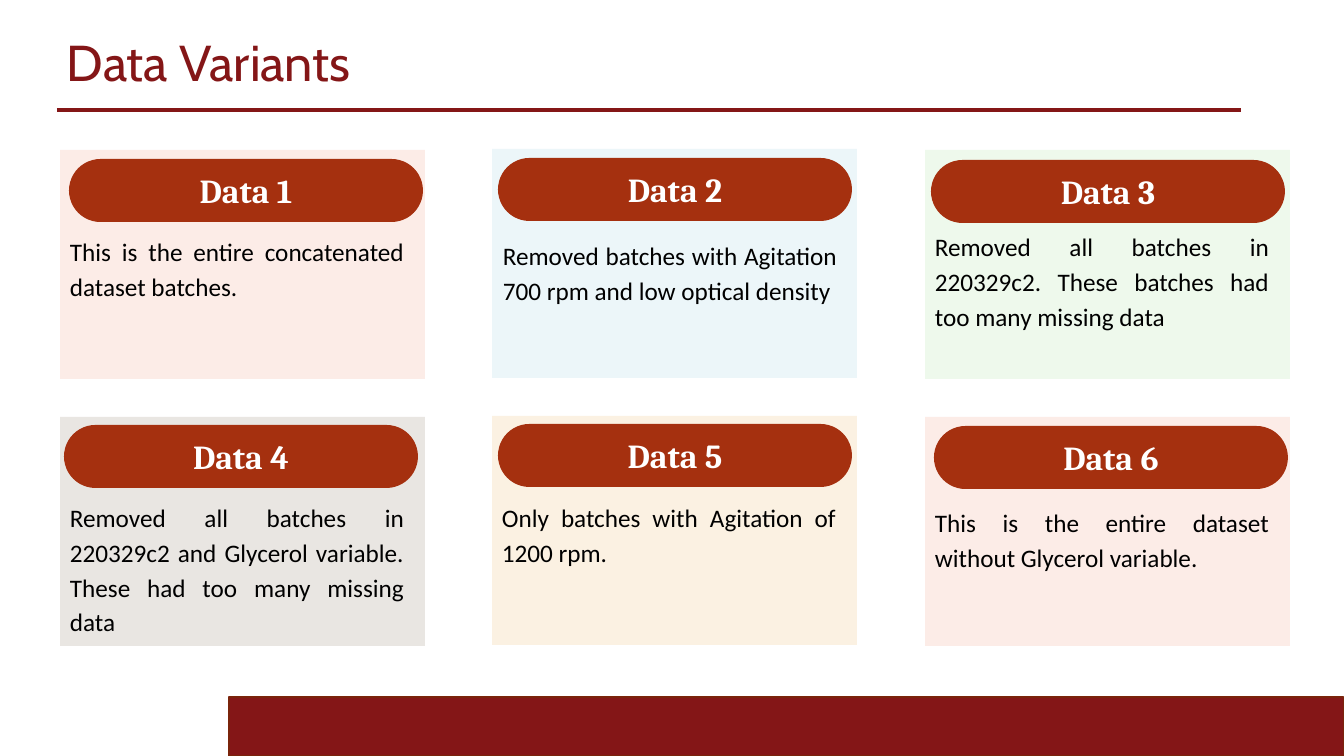
from lxml import etree
from pptx import Presentation
from pptx.dml.color import RGBColor
from pptx.enum.shapes import MSO_CONNECTOR, MSO_SHAPE
from pptx.enum.text import MSO_ANCHOR, MSO_AUTO_SIZE, PP_ALIGN
from pptx.oxml.ns import qn
from pptx.util import Pt

PX = 914400 / 100.8

CRIMSON = RGBColor(0x84, 0x16, 0x17)
BAND_EDGE = RGBColor(0x7A, 0x24, 0x0B)
RUST = RGBColor(0xA5, 0x30, 0x0F)
CORAL = RGBColor(0xEE, 0x6E, 0x4A)
SKY = RGBColor(0x68, 0xBC, 0xD0)
GREEN = RGBColor(0x75, 0xD3, 0x65)
BROWN = RGBColor(0x59, 0x3E, 0x24)
AMBER = RGBColor(0xE1, 0x98, 0x25)
WHITE = RGBColor(0xFF, 0xFF, 0xFF)
BLACK = RGBColor(0x00, 0x00, 0x00)

TITLE_FORMAT = {"name": "Cabin", "size": Pt(36)}
LABEL_FORMAT = {"name": "Cambria", "size": Pt(24), "bold": True}
BODY_FORMAT = {"name": "Calibri", "size": Pt(18)}

CARD_LEFTS = (60, 492, 925)
CARD_TOPS = (150, 417)
CARD_WIDTH, CARD_HEIGHT = 365, 229
PILL_WIDTH, PILL_HEIGHT = 354, 63
LINE_HEIGHT, BODY_MARGINS = 35, 9

# text, tint, opacity %, vertical nudge, pill offset, body offset, body lines
CARDS = [
    ("This is the entire concatenated dataset batches.",
     CORAL, 13, 0, (9, 9), (0, 77), 2),
    ("Removed batches with Agitation 700 rpm and low optical density",
     SKY, 12, -1, (6, 9), (1, 82), 2),
    ("Removed all batches in 220329c2. These batches had too many missing data",
     GREEN, 12, 0, (6, 10), (0, 72), 3),
    ("Removed all batches in 220329c2 and Glycerol variable. "
     "These had too many missing data",
     BROWN, 13, 0, (4, 8), (0, 76), 4),
    ("Only batches with Agitation of 1200 rpm.",
     AMBER, 13, -1, (6, 8), (0, 77), 2),
    ("This is the entire dataset without Glycerol variable.",
     CORAL, 13, 0, (9, 9), (0, 81), 2),
]


def px(*lengths):
    return [round(length * PX) for length in lengths]


def add_block(slide, kind, box, color):
    block = slide.shapes.add_shape(kind, *px(*box))
    block.shadow.inherit = False
    block.fill.solid()
    block.fill.fore_color.rgb = color
    block.line.fill.background()
    return block


def write(frame, text, font_format, color, paragraph_format):
    frame.word_wrap = True
    paragraph = frame.paragraphs[0]
    for key, value in paragraph_format.items():
        setattr(paragraph, key, value)
    run = paragraph.add_run()
    run.text = text
    for key, value in font_format.items():
        setattr(run.font, key, value)
    run.font.color.rgb = color


def add_footer(slide, box):
    band = add_block(slide, MSO_SHAPE.RECTANGLE, box, CRIMSON)
    band.line.color.rgb = BAND_EDGE
    band.line.width = Pt(0.85)


def add_header(slide, box):
    left, top, width, height = box
    # Rule under the title
    rule_top = top + height + 9
    rule = slide.shapes.add_connector(
        MSO_CONNECTOR.STRAIGHT,
        *px(left, rule_top, left + width + 4, rule_top))
    rule.line.color.rgb = CRIMSON
    rule.line.width = Pt(2.5)
    etree.SubElement(rule._element.spPr, qn("a:effectLst"))
    # Title
    title = slide.shapes.add_textbox(*px(*box)).text_frame
    title.vertical_anchor = MSO_ANCHOR.MIDDLE
    write(title, "Data Variants", TITLE_FORMAT, CRIMSON, {"line_spacing": 0.9})


def add_card(slide, box, label, card):
    text, tint, opacity, _, pill_offset, body_offset, lines = card
    left, top = box[:2]
    # Tinted panel
    panel = add_block(slide, MSO_SHAPE.RECTANGLE, box, tint)
    tint_element = panel._element.spPr.find(qn("a:solidFill"))[0]
    etree.SubElement(tint_element, qn("a:alpha"), val=str(opacity * 1000))
    # Label pill
    pill_box = (left + pill_offset[0], top + pill_offset[1],
                PILL_WIDTH, PILL_HEIGHT)
    pill = add_block(slide, MSO_SHAPE.ROUNDED_RECTANGLE, pill_box, RUST)
    pill.adjustments[0] = 0.5
    pill.text_frame.vertical_anchor = MSO_ANCHOR.MIDDLE
    write(pill.text_frame, label, LABEL_FORMAT, WHITE,
          {"alignment": PP_ALIGN.CENTER})
    # Description
    body = slide.shapes.add_textbox(
        *px(left + body_offset[0], top + body_offset[1],
            PILL_WIDTH, lines * LINE_HEIGHT + BODY_MARGINS)).text_frame
    body.auto_size = MSO_AUTO_SIZE.SHAPE_TO_FIT_TEXT
    write(body, text, BODY_FORMAT, BLACK,
          {"alignment": PP_ALIGN.JUSTIFY, "line_spacing": 1.15,
           "space_after": Pt(8)})


def main():
    deck = Presentation()
    deck.slide_width, deck.slide_height = px(1344, 756)
    slide = deck.slides.add_slide(deck.slide_layouts[6])
    add_footer(slide, (229, 697, 1115, 59))
    add_header(slide, (57, 29, 1180, 72))
    for index, card in enumerate(CARDS):
        row, column = divmod(index, len(CARD_LEFTS))
        box = (CARD_LEFTS[column], CARD_TOPS[row] + card[3],
               CARD_WIDTH, CARD_HEIGHT)
        add_card(slide, box, f"Data {index + 1}", card)
    deck.save("out.pptx")


if __name__ == "__main__":
    main()
